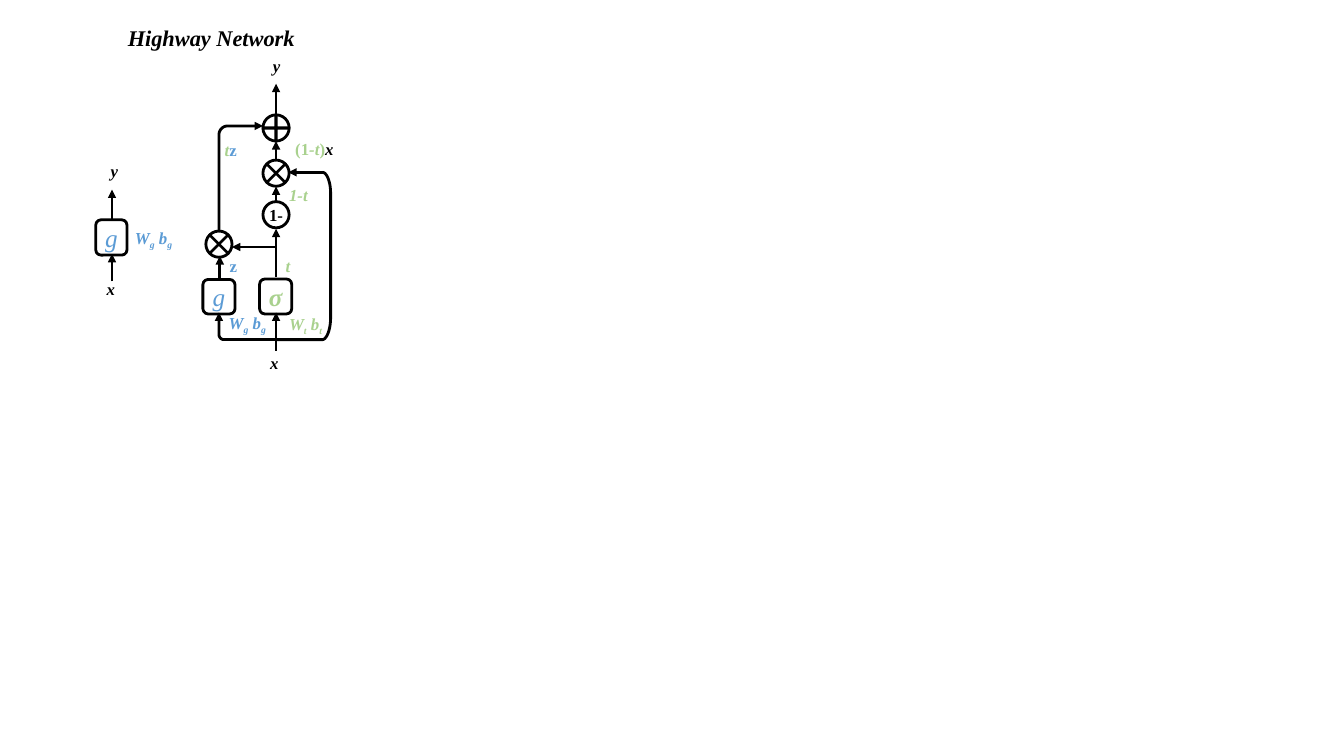
from pptx import Presentation
from pptx.dml.color import RGBColor
from pptx.enum import shapes, text
from pptx.oxml import ns
from pptx.util import Pt
from lxml import etree

BLACK = RGBColor(0, 0, 0)
BLUE = RGBColor(0x5B, 0x9B, 0xD5)
GREEN = RGBColor(0xA9, 0xD1, 0x8E)
FONT = "Times New Roman"
LINE_WIDTH = 2
CIRCLE = 18.7
SIGN = 27.4
LABEL_HEIGHT = 21.6
PRESET = shapes.MSO_SHAPE
TIMES = (PRESET.MATH_MULTIPLY, 0.069)
PLUS = (PRESET.MATH_PLUS, 0.087)


def format_run(run, color, size, bold=True, italic=True, subscript=False):
    run.font.name = FONT
    run.font.size = Pt(size)
    run.font.color.rgb = color
    run.font.bold = bold
    run.font.italic = italic
    if subscript:
        run._r.get_or_add_rPr().set("baseline", "-25000")


def add_label(slide, left, top, width, pieces, size=12, height=LABEL_HEIGHT, wrap=True):
    box = slide.shapes.add_textbox(Pt(left), Pt(top), Pt(width), Pt(height))
    box.text_frame.word_wrap = wrap
    box.text_frame.auto_size = text.MSO_AUTO_SIZE.SHAPE_TO_FIT_TEXT
    paragraph = box.text_frame.paragraphs[0]
    for wording, color, style in pieces:
        run = paragraph.add_run()
        run.text = wording
        format_run(run, color, size, **style)


def add_symbol(slide, left, top, wording, color=BLACK, width=22.3, italic=True):
    add_label(slide, left, top, width, [(wording, color, {"italic": italic})])


def add_weights(slide, left, top, index, color):
    pieces = []
    for name in ("W", " b"):
        pieces += [(name, color, {}), (index, color, {"subscript": True})]
    add_label(slide, left, top, 64.1, pieces)


def style_line(line, arrow=False):
    line.color.rgb = BLACK
    line.width = Pt(LINE_WIDTH)
    if arrow:
        etree.SubElement(line._get_or_add_ln(), ns.qn("a:tailEnd"), type="triangle")


def add_outline(parent, kind, left, top, width, height):
    shape = parent.shapes.add_shape(kind, Pt(left), Pt(top), Pt(width), Pt(height))
    shape.shadow.inherit = False
    shape.fill.background()
    style_line(shape.line)
    return shape


def fill_outline(shape, wording, color, size, **style):
    frame = shape.text_frame
    frame.margin_left = frame.margin_right = frame.margin_top = frame.margin_bottom = 0
    frame.vertical_anchor = text.MSO_ANCHOR.MIDDLE
    frame.text = wording
    frame.paragraphs[0].alignment = text.PP_ALIGN.CENTER
    format_run(frame.paragraphs[0].runs[0], color, size, **style)


def add_layer(slide, left, top, width, height, wording, color, bold=False):
    shape = add_outline(slide, PRESET.ROUNDED_RECTANGLE, left, top, width, height)
    fill_outline(shape, wording, color, 18, bold=bold)


def add_circle(parent, x, y):
    return add_outline(parent, PRESET.OVAL, x - CIRCLE / 2, y - CIRCLE / 2, CIRCLE, CIRCLE)


def add_operator(slide, x, y, sign):
    kind, thickness = sign
    group = slide.shapes.add_group_shape()
    add_circle(group, x, y)
    shape = add_outline(group, kind, x - SIGN / 2, y - SIGN / 2, SIGN, SIGN)
    shape.adjustments[0] = thickness
    shape.fill.solid()
    shape.fill.fore_color.rgb = BLACK
    shape.line.fill.background()


def add_arrow(slide, left, top, x1, y1, x2, y2):
    arrow = slide.shapes.add_connector(
        shapes.MSO_CONNECTOR.STRAIGHT,
        Pt(left + x1), Pt(top + y1), Pt(left + x2), Pt(top + y2))
    style_line(arrow.line, arrow=True)
    etree.SubElement(arrow._element.spPr, ns.qn("a:effectLst"))


def curve(*controls, steps=10):
    points = []
    for step in range(steps + 1):
        t = step / steps
        weights = ((1 - t) ** 3, 3 * t * (1 - t) ** 2, 3 * t * t * (1 - t), t ** 3)
        points.append(tuple(sum(w * c[axis] for w, c in zip(weights, controls))
                            for axis in (0, 1)))
    return points


def add_path(slide, left, top, points, arrow=False):
    vertices = [(Pt(left + x), Pt(top + y)) for x, y in points]
    builder = slide.shapes.build_freeform(*vertices[0])
    builder.add_line_segments(vertices[1:], close=False)
    shape = builder.convert_to_shape()
    shape.shadow.inherit = False
    shape.fill.background()
    style_line(shape.line, arrow)


def add_plain_layer(slide, left, top):
    for start, end in ((90, 70.4), (46, 24.4)):
        add_arrow(slide, left, top, 12, start, 12, end)
    add_layer(slide, left + 0.4, top + 46, 22.3, 25.2, "g", BLUE)
    add_symbol(slide, left + 1.1, top + 84.8, "x")
    add_symbol(slide, left + 4, top + 0.6, "y")
    add_weights(slide, left + 21.3, top + 48.1, "g", BLUE)


def add_highway(slide, left, top):
    main, side, carry = 53.2, 12.4, 92.2
    bottom, carry_top, bypass_top = 206.6, 87.1, 54

    for start, end in ((214.6, 187.2), (162, 127.4), (108, 97.2), (78.5, 64.8), (45.4, 23.8)):
        add_arrow(slide, left, top, main, start, main, end)
    add_arrow(slide, left, top, main, 140.4, 21.6, 140.4)
    add_arrow(slide, left, top, side + 0.6, 163.4, side + 0.6, 146.9)
    add_arrow(slide, left, top, 86.4, carry_top, 61.9, carry_top)

    add_path(slide, left, top, [
        (main, bottom),
        *curve((15.8, bottom), (13.7, bottom), (side, 204.5), (side, 203)),
        (side, 187.2)], arrow=True)
    add_path(slide, left, top, [
        (main, bottom),
        *curve((86.4, bottom), (89.3, bottom), (carry, 199.4), (carry, 190.8)),
        *curve((carry, 102.2), (carry, 93.6), (89.3, carry_top), (86.4, carry_top))])
    add_path(slide, left, top, [
        (side, 128.9),
        *curve((side, 60.5), (side, 56.9), (15.1, bypass_top), (18.7, bypass_top)),
        (43.9, bypass_top)], arrow=True)

    add_layer(slide, left + 0.9, top + 163.6, 23, 24.7, "g", BLUE)
    add_layer(slide, left + 41.4, top + 163.3, 23, 25, "σ", GREEN, bold=True)
    for x, y, sign in ((side, 138.4, TIMES), (main, 87.7, TIMES), (main, 55.4, PLUS)):
        add_operator(slide, left + x, top + y, sign)
    complement = add_circle(slide, left + main, top + 117.4)
    fill_outline(complement, "1-", BLACK, 12, italic=False)

    add_symbol(slide, left + 41.8, top + 212.4, "x")
    add_symbol(slide, left + 43.9, top, "y")
    add_symbol(slide, left + 53, top + 143.3, "t", GREEN, width=18)
    add_symbol(slide, left + 13, top + 143.3, "z", BLUE, italic=False)
    add_symbol(slide, left + 55.4, top + 92.2, "1-t", GREEN, width=34.6)
    upright = {"italic": False}
    add_label(slide, left + 59.8, top + 59.8, 55.4, [
        ("(1", GREEN, upright), ("-t", GREEN, {}), (")", GREEN, upright), ("x", BLACK, {})])
    add_label(slide, left + 9.4, top + 60.5, 55.4, [("t", GREEN, {}), ("z", BLUE, upright)])
    add_weights(slide, left + 12.2, top + 183.6, "g", BLUE)
    add_weights(slide, left + 55.4, top + 184.6, "t", GREEN)


def add_title(slide, left, top):
    add_label(slide, left, top, 135.4, [("Highway Network", BLACK, {})],
              size=16, height=26.6, wrap=False)


presentation = Presentation()
presentation.slide_width = Pt(960)
presentation.slide_height = Pt(540)
slide = presentation.slides.add_slide(presentation.slide_layouts[6])
add_plain_layer(slide, 68, 111)
add_highway(slide, 144, 36)
add_title(slide, 84.2, 14)
presentation.save("out.pptx")
